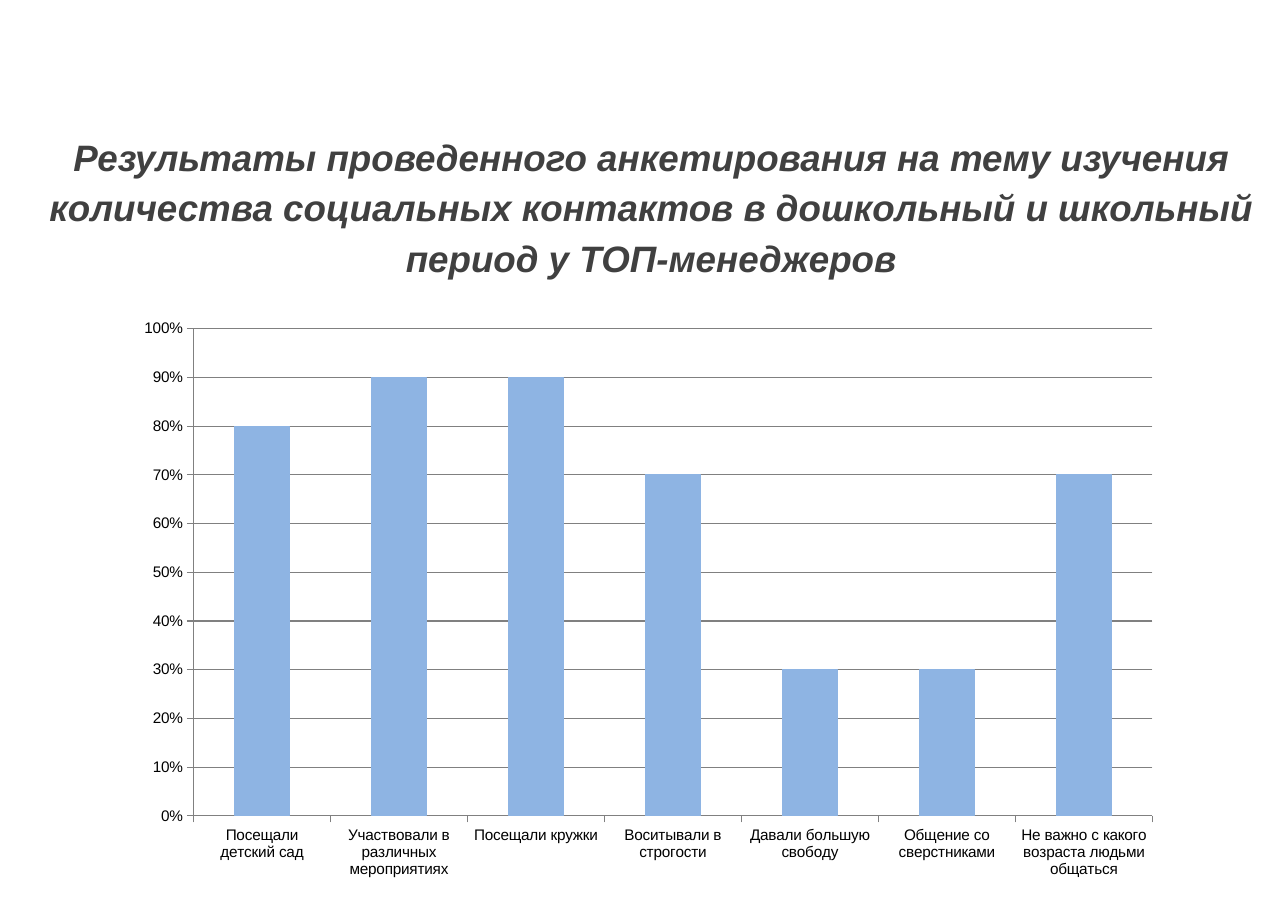
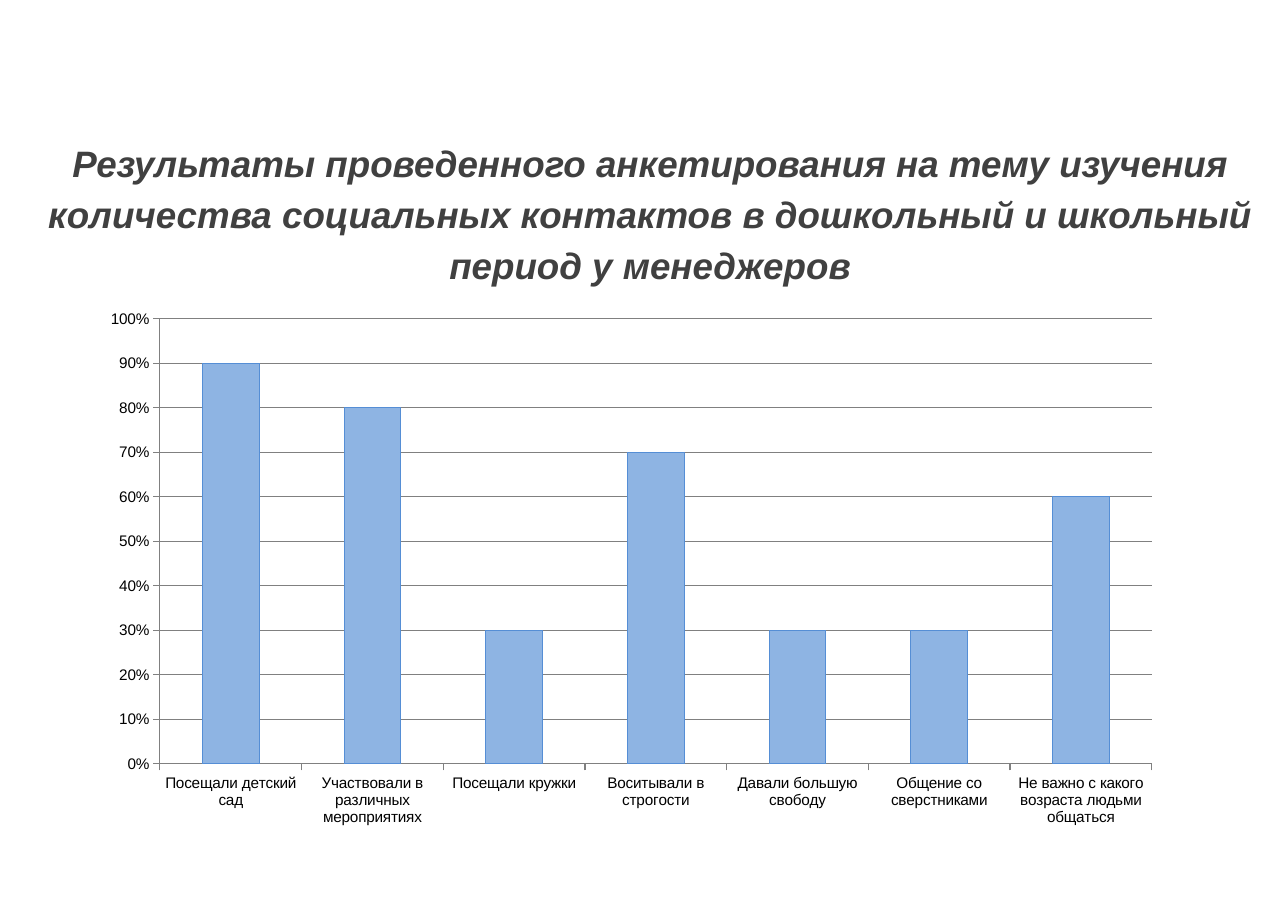
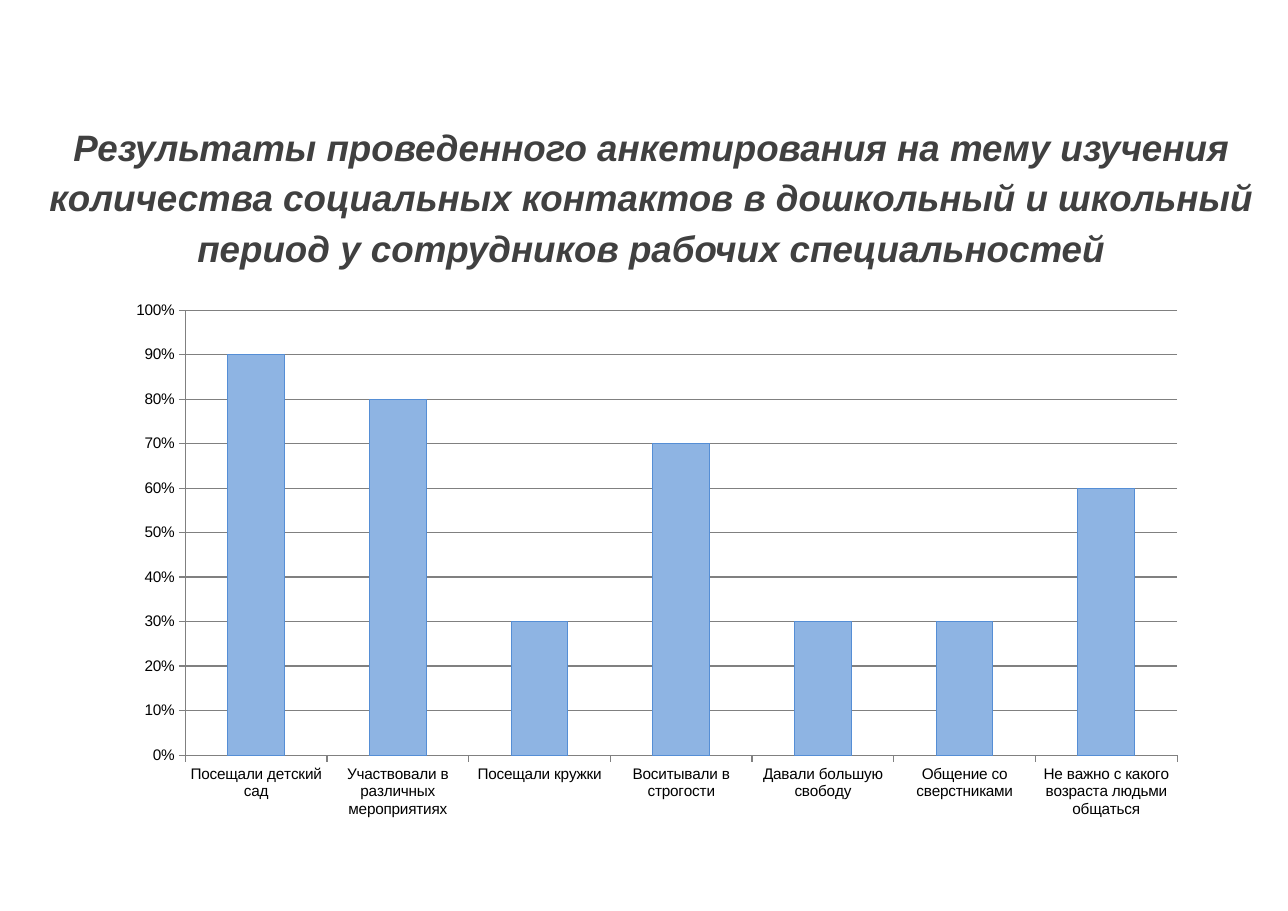
"""Build three survey slides, each with a headline and a column chart."""
from dataclasses import dataclass

from pptx import Presentation
from pptx.chart.data import CategoryChartData
from pptx.dml.color import RGBColor
from pptx.enum.chart import XL_CHART_TYPE, XL_TICK_MARK
from pptx.enum.text import MSO_ANCHOR, MSO_AUTO_SIZE, PP_ALIGN
from pptx.util import Inches, Pt

COLUMNS = XL_CHART_TYPE.COLUMN_CLUSTERED
TICK_OUTSIDE = XL_TICK_MARK.OUTSIDE
TICK_NONE = XL_TICK_MARK.NONE
TOP = MSO_ANCHOR.TOP
FIXED_SIZE = MSO_AUTO_SIZE.NONE
CENTER = PP_ALIGN.CENTER
TITLE_ONLY_LAYOUT = 5


@dataclass(frozen=True)
class Theme:
    font: str = "Arial"
    title_size: Pt = Pt(24)
    chart_size: Pt = Pt(10)
    line_width: Pt = Pt(0.75)
    title_color: RGBColor = RGBColor(0x40, 0x40, 0x40)
    label_color: RGBColor = RGBColor(0x00, 0x00, 0x00)
    axis_color: RGBColor = RGBColor(0x80, 0x80, 0x80)
    column_color: RGBColor = RGBColor(0x8E, 0xB4, 0xE3)
    outline_color: RGBColor = RGBColor(0x55, 0x8E, 0xD5)


THEME = Theme()

TITLE_START = (
    "Результаты проведенного анкетирования на тему изучения "
    "количества социальных контактов в дошкольный и школьный период у "
)
CATEGORIES = [
    "Посещали детский сад",
    "Участвовали в различных мероприятиях",
    "Посещали кружки",
    "Воситывали в строгости",
    "Давали большую свободу",
    "Общение со сверстниками",
    "Не важно с какого возраста людьми общаться",
]
SURVEYS = [
    {
        "group": "ТОП-менеджеров",
        "values": [0.8, 0.9, 0.9, 0.7, 0.3, 0.3, 0.7],
        "title_box": (0.11, 1.08, 11.6, 1.31),
        "chart_box": (1.12, 2.8, 9.53, 5.28),
        "outline": THEME.column_color,
    },
    {
        "group": "менеджеров",
        "values": [0.9, 0.8, 0.3, 0.7, 0.3, 0.3, 0.6],
        "title_box": (0.1, 1.14, 11.6, 1.43),
        "chart_box": (0.81, 2.72, 9.84, 4.88),
        "outline": THEME.outline_color,
    },
    {
        "group": "сотрудников рабочих специальностей",
        "values": [0.9, 0.8, 0.3, 0.7, 0.3, 0.3, 0.6],
        "title_box": (0.11, 0.99, 11.6, 1.43),
        "chart_box": (1.04, 2.64, 9.84, 4.88),
        "outline": THEME.outline_color,
    },
]


def style_font(font, size, color):
    font.name = THEME.font
    font.size = size
    font.color.rgb = color


def style_line(line, color):
    line.color.rgb = color
    line.width = THEME.line_width


def fill_title(title, group, box):
    title.left, title.top, title.width, title.height = map(Inches, box)
    text_frame = title.text_frame
    text_frame.text = TITLE_START + group
    text_frame.word_wrap = True
    text_frame.auto_size = FIXED_SIZE
    text_frame.vertical_anchor = TOP
    text_frame.margin_top = Inches(0.08)
    paragraph = text_frame.paragraphs[0]
    paragraph.alignment = CENTER
    paragraph.line_spacing = 1.15
    font = paragraph.runs[0].font
    style_font(font, THEME.title_size, THEME.title_color)
    font.bold = font.italic = True


def style_axis(axis):
    axis.major_tick_mark = TICK_OUTSIDE
    axis.minor_tick_mark = TICK_NONE
    style_line(axis.format.line, THEME.axis_color)
    style_font(axis.tick_labels.font, THEME.chart_size, THEME.label_color)


def add_survey_chart(slide, values, box, outline):
    chart_data = CategoryChartData(number_format="0%")
    chart_data.categories = CATEGORIES
    chart_data.add_series("Series 1", values)
    chart = slide.shapes.add_chart(COLUMNS, *map(Inches, box), chart_data).chart
    chart.has_legend = False
    chart.has_title = False
    style_font(chart.font, THEME.chart_size, THEME.label_color)

    style_axis(chart.category_axis)
    value_axis = chart.value_axis
    style_axis(value_axis)
    value_axis.minimum_scale, value_axis.maximum_scale = 0, 1
    value_axis.major_unit = 0.1
    value_axis.tick_labels.number_format = "0%"
    value_axis.tick_labels.number_format_is_linked = False
    value_axis.has_major_gridlines = True
    style_line(value_axis.major_gridlines.format.line, THEME.axis_color)

    plot = chart.plots[0]
    plot.gap_width = 150
    plot.vary_by_categories = False
    column_format = plot.series[0].format
    column_format.fill.solid()
    column_format.fill.fore_color.rgb = THEME.column_color
    style_line(column_format.line, outline)


def main():
    presentation = Presentation()
    presentation.slide_width = Inches(11.69)
    presentation.slide_height = Inches(8.27)
    layout = presentation.slide_layouts[TITLE_ONLY_LAYOUT]
    for survey in SURVEYS:
        slide = presentation.slides.add_slide(layout)
        fill_title(slide.shapes.title, survey["group"], survey["title_box"])
        add_survey_chart(
            slide, survey["values"], survey["chart_box"], survey["outline"]
        )
    presentation.save("out.pptx")


if __name__ == "__main__":
    main()
